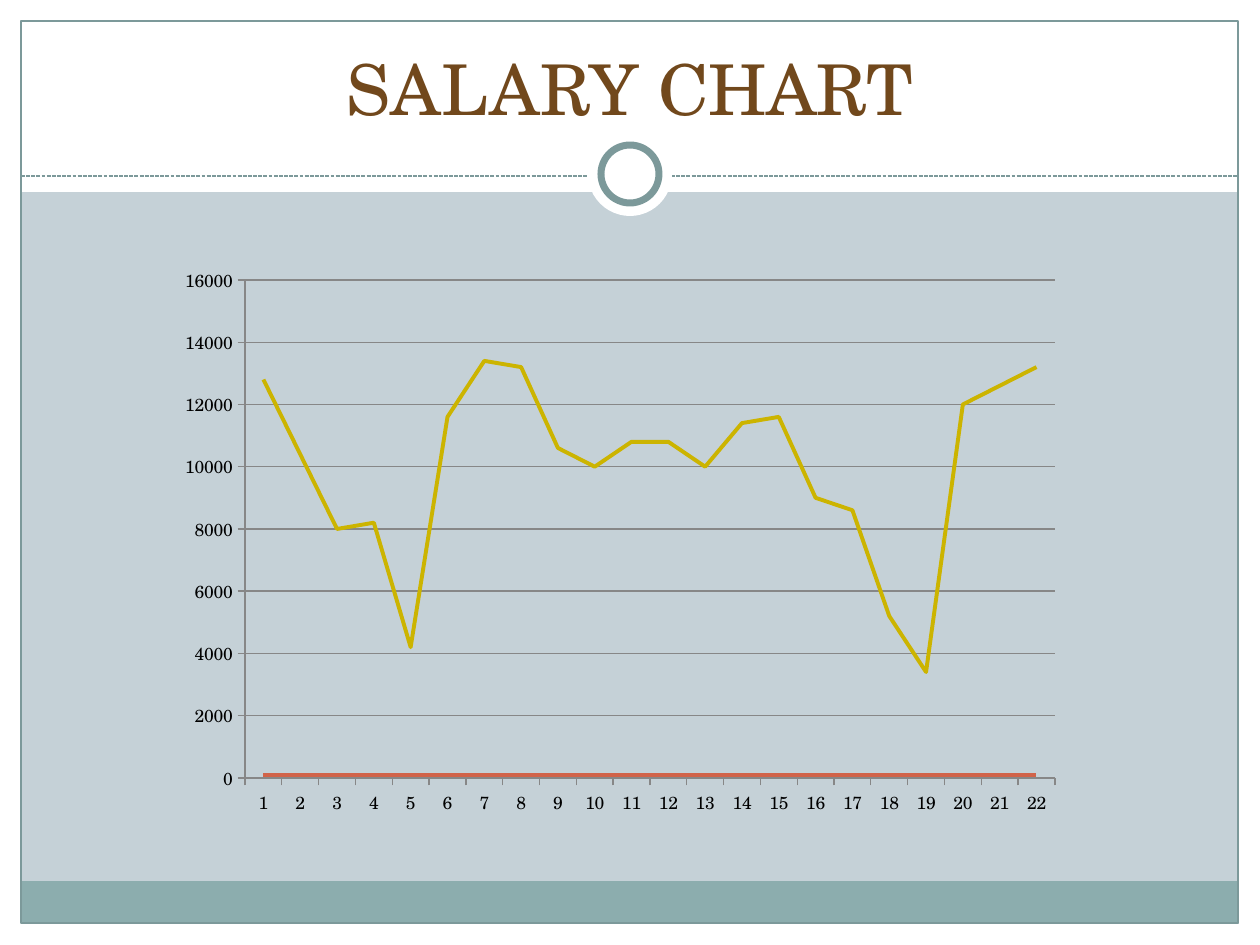
import pptx
import pptx.chart.data
import pptx.dml.color
import pptx.enum.chart
import pptx.enum.dml
import pptx.enum.shapes
import pptx.enum.text
import pptx.oxml
import pptx.util
import lxml.etree

EMU_PER_PX = 914400 / 126
FONT = "TeX Gyre Schola"
COLORS = {
    "background": "C5D1D7",
    "white": "FFFFFF",
    "footer": "8CADAE",
    "frame": "7C999A",
    "title": "71481C",
    "text": "000000",
    "axis": "878787",
    "Series 1": "D16349",
    "Series 2": "CCB400",
}


def px(*lengths):
    return [pptx.util.Emu(round(length * EMU_PER_PX)) for length in lengths]


def rgb(name):
    return pptx.dml.color.RGBColor.from_string(COLORS[name])


presentation = pptx.Presentation()
presentation.slide_width, presentation.slide_height = px(1260, 945)
slide = presentation.slides.add_slide(presentation.slide_layouts[5])
slide.background.fill.solid()
slide.background.fill.fore_color.rgb = rgb("background")

rectangle = pptx.enum.shapes.MSO_SHAPE.RECTANGLE
oval = pptx.enum.shapes.MSO_SHAPE.OVAL
bands = [
    (rectangle, (0, 924, 1260, 21), "white", None, 0),
    (rectangle, (0, 0, 1260, 192), "white", None, 0),
    (rectangle, (0, 0, 21, 945), "white", None, 0),
    (rectangle, (1239, 0, 21, 945), "white", None, 0),
    (rectangle, (21, 881, 1217, 43), "footer", None, 0),
    (rectangle, (21, 21, 1217, 902), None, "frame", 0.75),
]
medallion = [
    (oval, (588, 132, 84, 84), "white", None, 0),
    (oval, (601, 145, 58, 58), "white", "frame", 4),
]

for group in (bands, medallion):
    if group is medallion:
        divider = slide.shapes.add_connector(
            pptx.enum.shapes.MSO_CONNECTOR.STRAIGHT, *px(21, 176, 1239, 176))
        divider.line.color.rgb = rgb("frame")
        divider.line.width = pptx.util.Pt(0.75)
        divider.line.dash_style = pptx.enum.dml.MSO_LINE.SQUARE_DOT
        lxml.etree.SubElement(
            divider.element.spPr, pptx.oxml.ns.qn("a:effectLst"))
    for kind, box, fill, line, width in group:
        shape = slide.shapes.add_shape(kind, *px(*box))
        shape.shadow.inherit = False
        if fill:
            shape.fill.solid()
            shape.fill.fore_color.rgb = rgb(fill)
        else:
            shape.fill.background()
        if line:
            shape.line.color.rgb = rgb(line)
            shape.line.width = pptx.util.Pt(width)
        else:
            shape.line.fill.background()

title = slide.shapes.title
title.left, title.top, title.width, title.height = px(42, 32, 1176, 104)
slide.shapes.element.append(title.element)
title.text_frame.text = "SALARY CHART"
title.text_frame.vertical_anchor = pptx.enum.text.MSO_ANCHOR.BOTTOM
paragraph = title.text_frame.paragraphs[0]
paragraph.alignment = pptx.enum.text.PP_ALIGN.CENTER
title_font = paragraph.runs[0].font
for name, value in {"name": FONT, "size": pptx.util.Pt(40)}.items():
    setattr(title_font, name, value)
title_font.color.rgb = rgb("title")

salaries = [12800, 10400, 8000, 8200, 4200, 11600, 13400, 13200, 10600, 10000, 10800,
            10800, 10000, 11400, 11600, 9000, 8600, 5200, 3400, 12000, 12600, 13200]
chart_data = pptx.chart.data.CategoryChartData()
chart_data.categories = [str(number + 1) for number in range(len(salaries))]
chart_data.add_series("Series 1", [100] * len(salaries))
chart_data.add_series("Series 2", salaries)

chart_box = (168, 256, 906, 571)
plot_box = (245, 280, 810, 498)
chart = slide.shapes.add_chart(
    pptx.enum.chart.XL_CHART_TYPE.LINE, *px(*chart_box), chart_data).chart
chart.has_legend = False
chart.has_title = False
for name, value in {"name": FONT, "size": pptx.util.Pt(10)}.items():
    setattr(chart.font, name, value)
chart.font.color.rgb = rgb("text")
chart.plots[0].vary_by_categories = False

for series in chart.plots[0].series:
    series.smooth = False
    series.marker.style = pptx.enum.chart.XL_MARKER_STYLE.NONE
    series.format.line.color.rgb = rgb(series.name)
    series.format.line.width = pptx.util.Pt(2.25)

value_axis = chart.value_axis
for name, value in {"minimum_scale": 0, "maximum_scale": 16000, "major_unit": 2000,
                    "has_major_gridlines": True}.items():
    setattr(value_axis, name, value)
for axis in (chart.category_axis, value_axis):
    axis.major_tick_mark = pptx.enum.chart.XL_TICK_MARK.OUTSIDE
for part in (chart.category_axis, value_axis, value_axis.major_gridlines):
    part.format.line.color.rgb = rgb("axis")
    part.format.line.width = pptx.util.Pt(0.75)

qn = pptx.oxml.ns.qn
plot_area = chart.element.find(".//" + qn("c:plotArea"))
for layout in plot_area.findall(qn("c:layout")):
    plot_area.remove(layout)
layout = lxml.etree.Element(qn("c:layout"))
plot_area.insert(0, layout)
manual = lxml.etree.SubElement(layout, qn("c:manualLayout"))
settings = {
    "layoutTarget": "inner",
    "xMode": "edge",
    "yMode": "edge",
    "x": (plot_box[0] - chart_box[0]) / chart_box[2],
    "y": (plot_box[1] - chart_box[1]) / chart_box[3],
    "w": plot_box[2] / chart_box[2],
    "h": plot_box[3] / chart_box[3],
}
for name, value in settings.items():
    lxml.etree.SubElement(manual, qn("c:" + name), val=str(value))

presentation.save("out.pptx")
